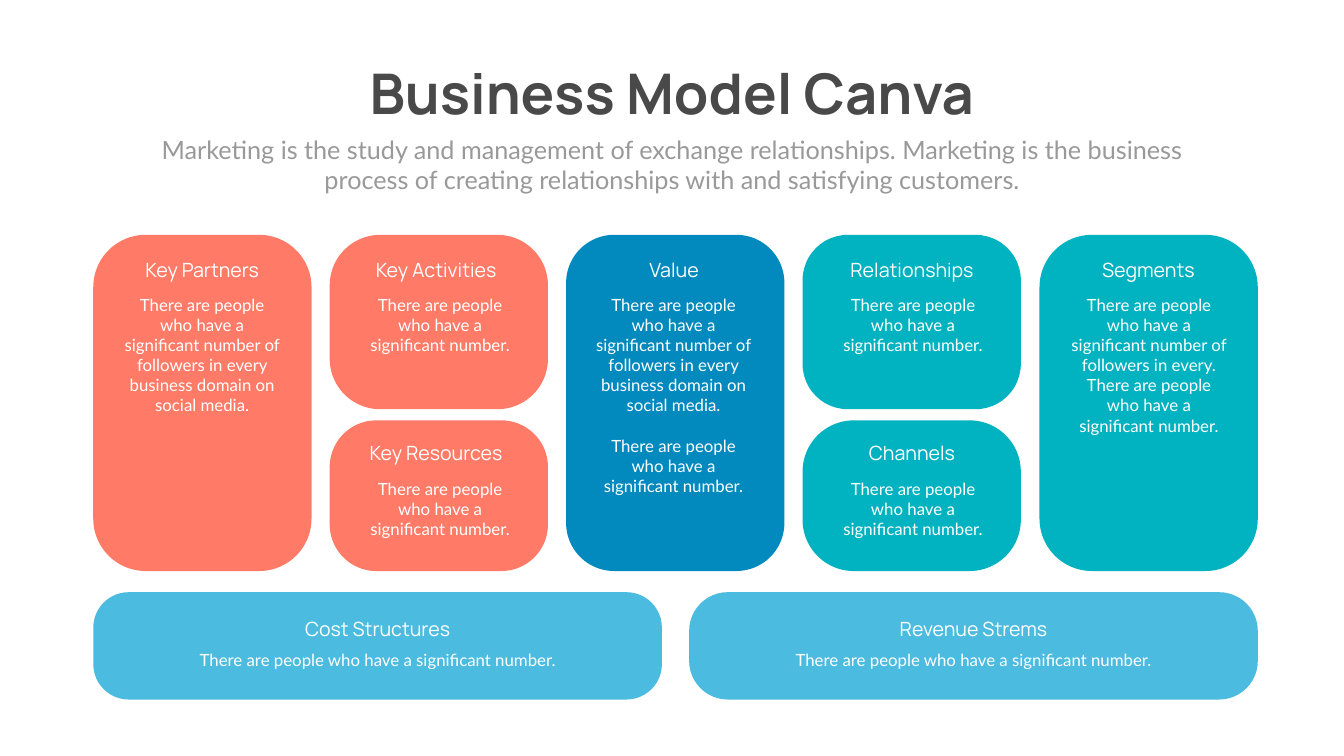
from pptx import Presentation
from pptx.dml.color import RGBColor
from pptx.enum.shapes import MSO_SHAPE
from pptx.enum.text import MSO_ANCHOR, MSO_AUTO_SIZE, PP_ALIGN
from pptx.util import Emu, Pt

PX = 9144
WHITE, CORAL, BLUE, TEAL, SKY = "FFFFFF", "FF7A67", "0289BD", "01B2C0", "4BBBDF"

TITLE = "Business Model Canva"
INTRO = ("Marketing is the study and management of exchange relationships. "
         "Marketing is the business process of creating relationships with "
         "and satisfying customers.")
SHORT = "There are people who have a significant number."
LONG = ("There are people who have a significant number of followers "
        "in every business domain on social media.")
MIXED = ("There are people who have a significant number of followers "
         "in every. There are people who have a significant number.")

# column, row, colour, corner, heading, paragraphs, lines
CARDS = [
    ("partner", "full", CORAL, 0.24, "Key Partners", [LONG], 6),
    ("action", "upper", CORAL, 0.29, "Key Activities", [SHORT], 3),
    ("action", "lower", CORAL, 0.31, "Key Resources", [SHORT], 3),
    ("value", "full", BLUE, 0.22, "Value", [LONG, SHORT], 10),
    ("client", "upper", TEAL, 0.26, "Relationships", [SHORT], 3),
    ("client", "lower", TEAL, 0.34, "Channels", [SHORT], 3),
    ("segment", "full", TEAL, 0.24, "Segments", [MIXED], 7),
    ("cost", "base", SKY, 0.33, "Cost Structures", [SHORT], 1),
    ("income", "base", SKY, 0.36, "Revenue Strems", [SHORT], 1),
]

# card left and width, heading left and width, body left and width
COLUMNS = {
    name: (left, 433, head, 304, body, 330)
    for name, left, head, body in [
        ("partner", 185, 249, 236), ("action", 654, 713, 708),
        ("value", 1123, 1185, 1171), ("client", 1592, 1657, 1646),
        ("segment", 2062, 2126, 2114),
    ]
}
for name, left in [("cost", 185), ("income", 1367)]:
    COLUMNS[name] = (left, 1128, left + 332, 464, left + 178, 772)

# card top and height, heading top, body top
ROWS = {
    "full": (466, 667, 506, 579),
    "upper": (466, 346, 506, 579),
    "lower": (834, 299, 870, 944),
    "base": (1175, 213, 1220, 1285),
}


def tint(code):
    return RGBColor.from_string(code)


def area(*sides):
    return [Emu(side * PX) for side in sides]


def write(box, texts, font, size, color, bold=False, wrap=True):
    frame = box.text_frame
    frame.word_wrap = wrap
    frame.vertical_anchor = MSO_ANCHOR.TOP
    frame.auto_size = MSO_AUTO_SIZE.SHAPE_TO_FIT_TEXT
    for index, text in enumerate(texts):
        para = frame.add_paragraph() if index else frame.paragraphs[0]
        para.text = text
        para.alignment = PP_ALIGN.CENTER
        para.line_spacing = 1.0
        para.space_before = Pt(29 if index else 0)
        para.font.name = font
        para.font.size = Pt(size)
        para.font.bold = bold
        para.font.color.rgb = tint(color)


def label(slide, place, *style):
    write(slide.shapes.add_textbox(*area(*place)), *style)


def card(slide, column, row, color, corner, head, texts, lines):
    left, width, head_x, head_w, body_x, body_w = COLUMNS[column]
    top, height, head_y, body_y = ROWS[row]
    shape = slide.shapes.add_shape(
        MSO_SHAPE.ROUNDED_RECTANGLE, *area(left, top, width, height))
    shape.adjustments[0] = corner
    shape.shadow.inherit = False
    shape.fill.solid()
    shape.fill.fore_color.rgb = tint(color)
    shape.line.fill.background()
    label(slide, (head_x, head_y, head_w, 57), [head], "Manrope", 28, WHITE)
    tall = round(10 + 40.4 * lines)
    label(slide, (body_x, body_y, body_w, tall), texts, "Lato", 24, WHITE)


def main():
    deck = Presentation()
    deck.slide_width, deck.slide_height = area(2666, 1500)
    slide = deck.slides.add_slide(deck.slide_layouts[5])
    title = slide.shapes.title
    title.left, title.top, title.width, title.height = area(673, 112, 1320, 145)
    write(title, [TITLE], "Manrope", 80, "494949", True, False)
    label(slide, (292, 261, 2082, 131), [INTRO], "Lato", 36, "999999")
    for item in CARDS:
        card(slide, *item)
    deck.save("out.pptx")


if __name__ == "__main__":
    main()
